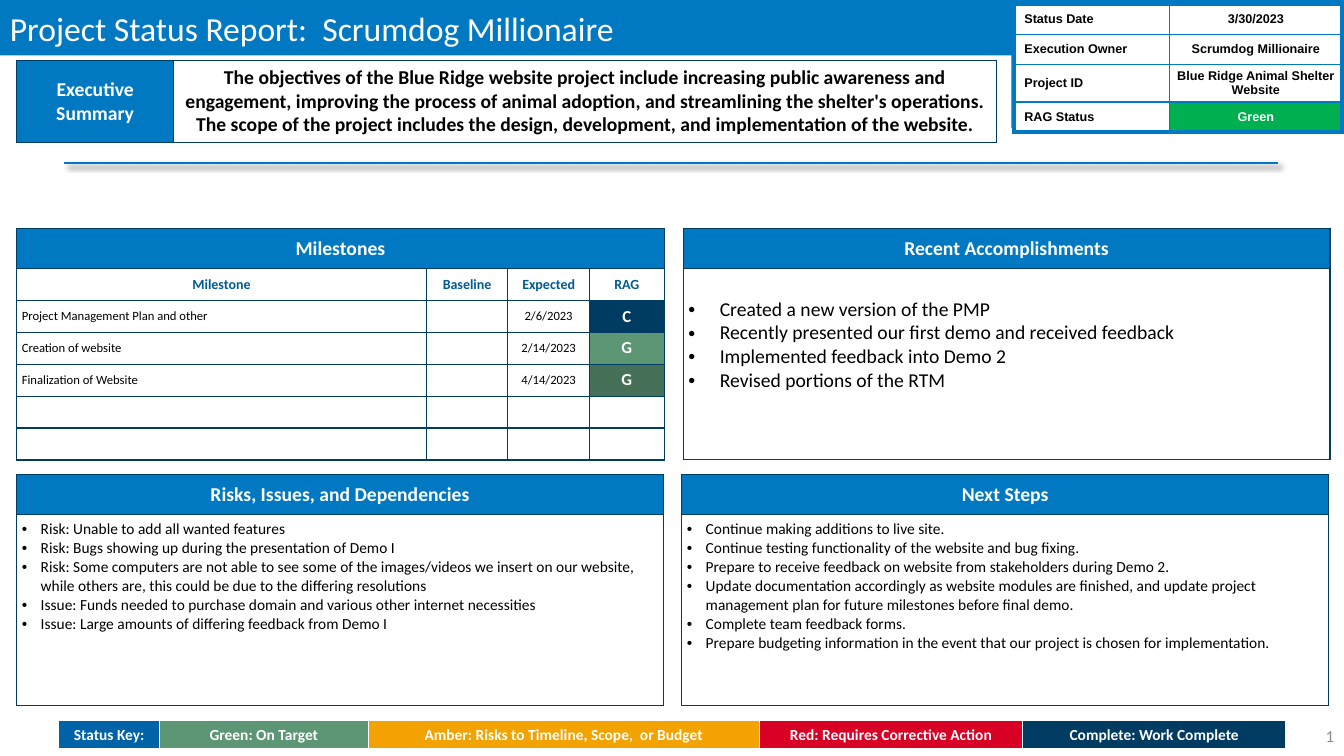
"""Builds the project status report slide."""
import pptx
import pptx.dml.color
import pptx.enum.shapes
import pptx.enum.text
import pptx.util
from lxml import etree
from pptx.oxml.ns import qn

Pt = pptx.util.Pt
Align = pptx.enum.text.PP_ALIGN
Anchor = pptx.enum.text.MSO_ANCHOR
COLORS = {
    "blue": "0079C2", "navy": "003C64", "deep": "003C61", "key": "0063A7",
    "heading": "005B92", "sage": "5D9674", "forest": "467057", "amber": "F2A301",
    "red": "D90026", "green": "00B050", "white": "FFFFFF", "black": "000000",
    "gray": "8C8C8C",
}


class StatusReport:
    def __init__(self, slide, font="Calibri"):
        self.slide = slide
        self.font = font

    def color(self, name):
        return pptx.dml.color.RGBColor.from_string(COLORS[name])

    def fill(self, target, name):
        target.fill.solid()
        target.fill.fore_color.rgb = self.color(name)

    def band(self, left, top, width, height):
        band = self.slide.shapes.add_shape(
            pptx.enum.shapes.MSO_SHAPE.RECTANGLE, Pt(left), Pt(top), Pt(width), Pt(height))
        self.fill(band, "blue")
        band.line.fill.background()
        band.shadow.inherit = False

    def rule(self, left, right, y):
        rule = self.slide.shapes.add_connector(
            pptx.enum.shapes.MSO_CONNECTOR.STRAIGHT, Pt(left), Pt(y), Pt(right), Pt(y))
        rule.line.color.rgb = self.color("blue")
        rule.line.width = Pt(1.5)
        effects = etree.SubElement(rule._element.spPr, qn("a:effectLst"))
        shadow = etree.SubElement(effects, qn("a:outerShdw"), blurRad=str(Pt(4)),
                                  dist=str(Pt(3)), dir="2700000", algn="tl", rotWithShape="0")
        tone = etree.SubElement(shadow, qn("a:srgbClr"), val=COLORS["black"])
        etree.SubElement(tone, qn("a:alpha"), val="40000")

    def set_text(self, frame, lines, size, color, bold=False, align=Align.LEFT, indent=0,
                 font=None):
        frame.word_wrap = True
        frame.text = "\n".join(lines)
        for paragraph in frame.paragraphs:
            paragraph.alignment = align
            if indent:
                properties = paragraph._p.get_or_add_pPr()
                properties.set("marL", str(Pt(indent)))
                properties.set("indent", str(-Pt(indent)))
                etree.SubElement(properties, qn("a:buFont"), typeface="Arial")
                etree.SubElement(properties, qn("a:buChar"), char="•")
            for run in paragraph.runs:
                run.font.name = font or self.font
                run.font.size = Pt(size)
                run.font.bold = bold
                run.font.color.rgb = self.color(color)
            if not paragraph.runs:
                etree.SubElement(paragraph._p, qn("a:endParaRPr"), sz=str(size * 100))

    def label(self, left, top, width, height, text, size, color, align=Align.LEFT):
        frame = self.slide.shapes.add_textbox(Pt(left), Pt(top), Pt(width), Pt(height)).text_frame
        self.set_text(frame, [text], size, color, align=align)
        frame.vertical_anchor = Anchor.MIDDLE

    def table(self, left, top, widths, heights, border="navy", edges=(1, 1, 1, 1)):
        table = self.slide.shapes.add_table(
            len(heights), len(widths), Pt(left), Pt(top),
            Pt(sum(widths)), Pt(sum(heights))).table
        table.first_row = table.horz_banding = False
        for column, width in zip(table.columns, widths):
            column.width = Pt(width)
        for row, height in zip(table.rows, heights):
            row.height = Pt(height)
        weights = dict(zip("LTRB", edges))
        last_row, last_column = len(heights) - 1, len(widths) - 1
        for r, row in enumerate(table.rows):
            for c, cell in enumerate(row.cells):
                outer = {"L": c == 0, "T": r == 0, "R": c == last_column, "B": r == last_row}
                for side in "LRTB":
                    weight = weights[side] if outer[side] else 1
                    line = etree.SubElement(cell._tc.get_or_add_tcPr(), qn("a:ln" + side),
                                            w=str(Pt(weight)))
                    solid = etree.SubElement(line, qn("a:solidFill"))
                    etree.SubElement(solid, qn("a:srgbClr"), val=COLORS[border])
        return table

    def cell(self, cell, lines, size, color="black", fill="white", pad=(3.6, 3.6),
             top=None, anchor=Anchor.MIDDLE, **style):
        self.fill(cell, fill)
        cell.margin_left = cell.margin_right = Pt(pad[0])
        cell.margin_top = Pt(pad[1] if top is None else top)
        cell.margin_bottom = Pt(pad[1])
        cell.vertical_anchor = anchor
        self.set_text(cell.text_frame, lines, size, color, **style)

    def heading(self, cell, text):
        self.cell(cell, [text], 14, "white", "blue", bold=True, align=Align.CENTER)

    def panel(self, left, top, title, points, size, indent, inset=3.6):
        table = self.table(left, top, [462], [28.5, 136.5])
        self.heading(table.cell(0, 0), title)
        self.cell(table.cell(1, 0), points, size, top=inset, anchor=Anchor.TOP, indent=indent)


deck = pptx.Presentation()
deck.slide_width, deck.slide_height = Pt(960), Pt(540)
report = StatusReport(deck.slides.add_slide(deck.slide_layouts[6]))
LEFT, RIGHT, UPPER, LOWER = 12, 487, 163.3, 339.2

report.band(0, 0, 960, 39.6)
report.band(722.4, 0, 237.6, 91.5)
report.rule(46, 913, 116.7)
report.label(0, 0, 720, 39.6, "Project Status Report:\u00a0 Scrumdog Millionaire", 24, "white")
report.label(744, 511, 216, 29, "1", 12, "gray", Align.RIGHT)

summary = report.table(LEFT, 43.2, [112, 588], [58.4])
report.heading(summary.cell(0, 0), "Executive Summary")
report.cell(summary.cell(0, 1), [
    "The objectives of the Blue Ridge website project include increasing public awareness and "
    "engagement, improving the process of animal adoption, and streamlining the shelter's "
    "operations. The scope of the project includes the design, development, and "
    "implementation of the website."], 14, bold=True, align=Align.CENTER)

report.panel(RIGHT + 1, UPPER, "Recent Accomplishments", [
    "Created a new version of the PMP",
    "Recently presented our first demo and received feedback",
    "Implemented feedback into Demo 2",
    "Revised portions of the RTM",
], 14, 22.5, inset=20.7)
report.panel(RIGHT, LOWER, "Next Steps", [
    "Continue making additions to live site.",
    "Continue testing functionality of the website and bug fixing.",
    "Prepare to receive feedback on website from stakeholders during Demo 2.",
    "Update documentation accordingly as website modules are finished, and update project "
    "management plan for future milestones before final demo.",
    "Complete team feedback forms.",
    "Prepare budgeting information in the event that our project is chosen for implementation.",
], 11, 13.5)
report.panel(LEFT, LOWER, "Risks, Issues, and Dependencies", [
    "Risk: Unable to add all wanted features",
    "Risk: Bugs showing up during the presentation of Demo I",
    "Risk: Some computers are not able to see some of the images/videos we insert on our "
    "website, while others\u00a0are, this could be due to the differing resolutions",
    "Issue: Funds needed to purchase domain and various other internet necessities",
    "Issue: Large amounts of differing feedback from\u00a0Demo I",
], 11, 13.5)

milestones = report.table(LEFT, UPPER, [292.5, 58.3, 58.3, 53.4], [28.5] + [22.8] * 6)
milestones.cell(0, 0).merge(milestones.cell(0, 3))
report.heading(milestones.cell(0, 0), "Milestones")
for c, name in enumerate(["Milestone", "Baseline", "Expected", "RAG"]):
    report.cell(milestones.cell(1, c), [name], 10, "heading", bold=True, align=Align.CENTER)
progress = [
    ("Project Management Plan and other", "2/6/2023", "C", "deep"),
    ("Creation of website", "2/14/2023", "G", "sage"),
    ("Finalization of Website", "4/14/2023", "G", "forest"),
    ("", "", "", "white"),
    ("", "", "", "white"),
]
for r, (milestone, expected, rag, rag_fill) in enumerate(progress, 2):
    report.cell(milestones.cell(r, 0), [milestone], 9)
    report.cell(milestones.cell(r, 1), [""], 9)
    report.cell(milestones.cell(r, 2), [expected], 9, align=Align.CENTER)
    report.cell(milestones.cell(r, 3), [rag], 12, "white", rag_fill, bold=True,
                align=Align.CENTER)

status_key = report.table(42, 514.3, [72, 149, 279.5, 188, 188], [21.6], "white", (1, 1, 1, 3))
meanings = [
    ("Status Key:", "key"),
    ("Green: On Target", "sage"),
    ("Amber: Risks to Timeline, Scope,  or Budget", "amber"),
    ("Red: Requires Corrective Action", "red"),
    ("Complete: Work Complete", "deep"),
]
for c, (meaning, fill) in enumerate(meanings):
    report.cell(status_key.cell(0, c), [meaning], 11, "white", fill, pad=(7.2, 3.6),
                bold=True, align=Align.CENTER)

details = report.table(724.5, 3, [111, 123], [21.6, 21.6, 25.7, 21.6], "blue", (3, 3, 3, 3))
facts = [
    ("Status Date", "3/30/2023", "black", "white"),
    ("Execution Owner", "Scrumdog Millionaire", "black", "white"),
    ("Project ID", "Blue Ridge Animal Shelter Website", "black", "white"),
    ("RAG Status", "Green", "white", "green"),
]
for r, (field, value, color, fill) in enumerate(facts):
    report.cell(details.cell(r, 0), [field], 9, pad=(7.2, 3.6), bold=True, font="Arial")
    report.cell(details.cell(r, 1), [value], 9, color, fill, pad=(2.5, 2.5), bold=True,
                align=Align.CENTER, font="Arial")

deck.save("out.pptx")
